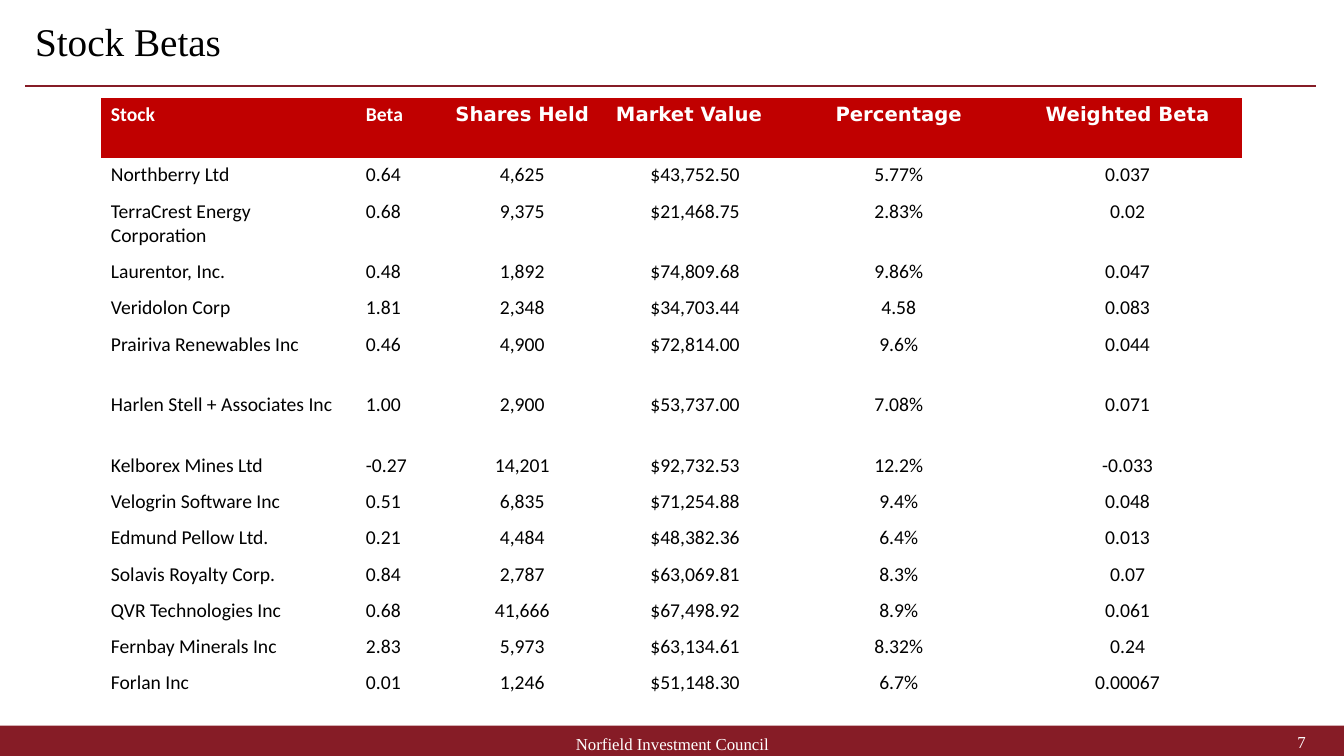
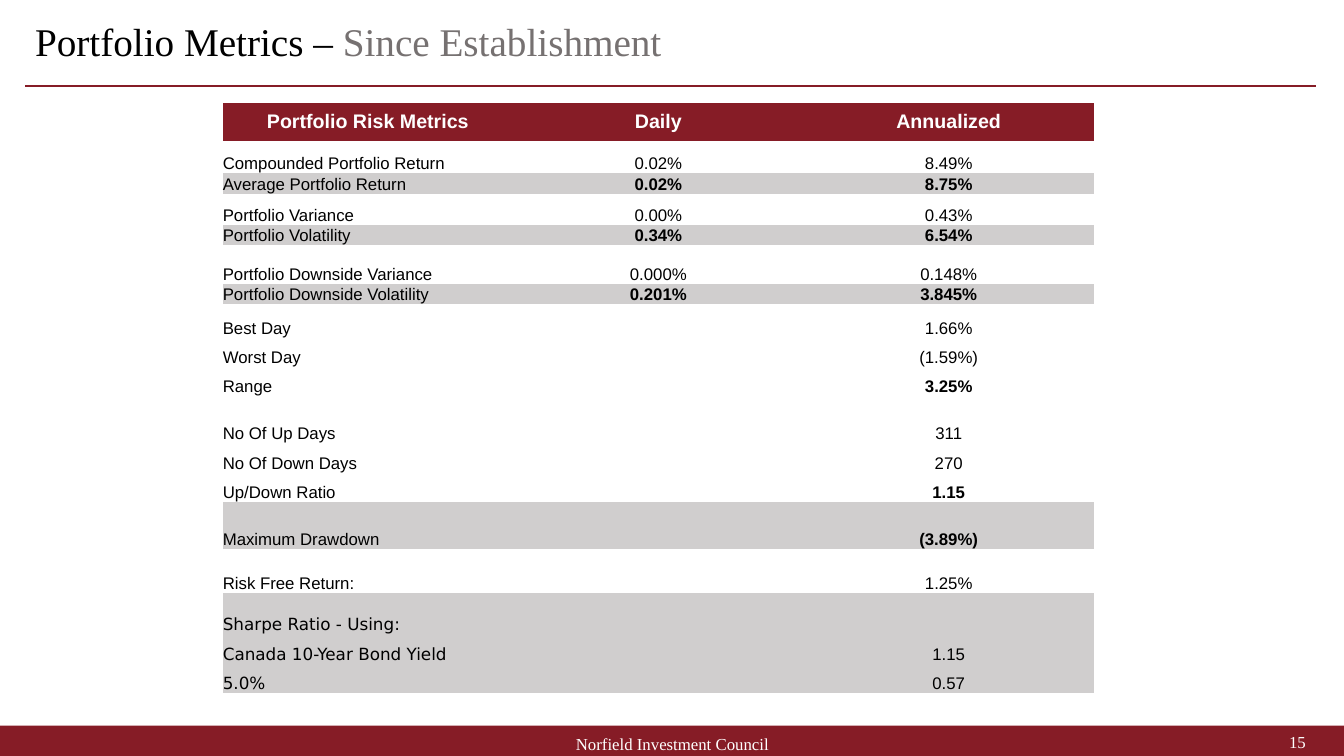
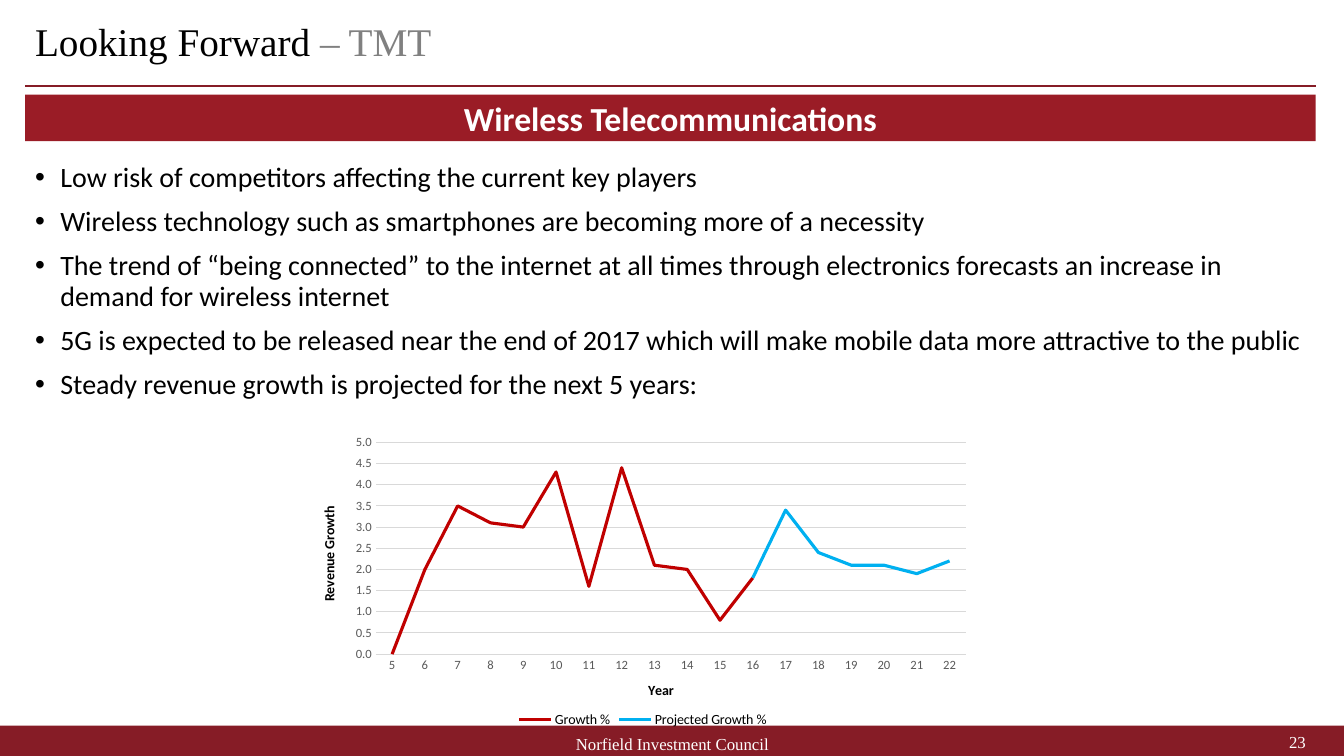
from dataclasses import dataclass

from lxml import etree
from pptx import Presentation
from pptx.chart.data import CategoryChartData
from pptx.dml.color import RGBColor
from pptx.enum.chart import XL_CHART_TYPE, XL_LEGEND_POSITION, XL_TICK_MARK
from pptx.enum.shapes import MSO_CONNECTOR, MSO_SHAPE
from pptx.enum.text import MSO_ANCHOR, PP_ALIGN
from pptx.oxml.ns import qn
from pptx.util import Emu, Pt

LEFT, CENTER, RIGHT = PP_ALIGN.LEFT, PP_ALIGN.CENTER, PP_ALIGN.RIGHT
TOP, MIDDLE, BOTTOM = MSO_ANCHOR.TOP, MSO_ANCHOR.MIDDLE, MSO_ANCHOR.BOTTOM
RECTANGLE, STRAIGHT = MSO_SHAPE.RECTANGLE, MSO_CONNECTOR.STRAIGHT
NO_TICK = XL_TICK_MARK.NONE

# Shared style: 100 px to the inch
EMU_PER_PX = 9144
SLIDE_WIDTH, SLIDE_HEIGHT = 1333, 750
MARGIN, CONTENT_WIDTH = 25, 1280
BLACK, WHITE, MAROON = "000000", "FFFFFF", "861C26"
BANNER_RED, BRIGHT_RED, BLUE = "9A1C26", "C00000", "00B0F0"
SHADE, GRID, AXIS_TEXT = "D0CECE", "D9D9D9", "595959"
SERIF, SANS, BODY, WIDE = "Times New Roman", "Arial", "Calibri", "DejaVu Sans"
FOOTER = "Norfield Investment Council"
PLAIN_TABLE_STYLE = "{2D5ABB26-0587-4C30-8999-92F81FD0307C}"


@dataclass
class Holding:
    stock: str
    beta: str
    shares: str
    value: str
    percentage: str
    weighted_beta: str
    height: int = 36


@dataclass
class Metric:
    label: str
    daily: str
    annualized: str
    height: int
    shaded: bool = False
    bold: bool = False
    label_font: str = SANS


@dataclass
class GrowthSeries:
    name: str
    values: list
    color: str


HOLDINGS = [
    Holding("Northberry Ltd", "0.64", "4,625", "$43,752.50", "5.77%", "0.037"),
    Holding("TerraCrest Energy Corporation", "0.68", "9,375", "$21,468.75", "2.83%", "0.02", 60),
    Holding("Laurentor, Inc.", "0.48", "1,892", "$74,809.68", "9.86%", "0.047"),
    Holding("Veridolon Corp", "1.81", "2,348", "$34,703.44", "4.58", "0.083"),
    Holding("Prairiva Renewables Inc", "0.46", "4,900", "$72,814.00", "9.6%", "0.044", 60),
    Holding("Harlen Stell + Associates Inc", "1.00", "2,900", "$53,737.00", "7.08%", "0.071", 60),
    Holding("Kelborex Mines Ltd", "-0.27", "14,201", "$92,732.53", "12.2%", "-0.033"),
    Holding("Velogrin Software Inc", "0.51", "6,835", "$71,254.88", "9.4%", "0.048"),
    Holding("Edmund Pellow Ltd.", "0.21", "4,484", "$48,382.36", "6.4%", "0.013"),
    Holding("Solavis Royalty Corp.", "0.84", "2,787", "$63,069.81", "8.3%", "0.07"),
    Holding("QVR Technologies Inc", "0.68", "41,666", "$67,498.92", "8.9%", "0.061"),
    Holding("Fernbay Minerals Inc", "2.83", "5,973", "$63,134.61", "8.32%", "0.24"),
    Holding("Forlan Inc", "0.01", "1,246", "$51,148.30", "6.7%", "0.00067"),
]

METRICS = [
    Metric("Compounded Portfolio Return", "0.02%", "8.49%", 32),
    Metric("Average Portfolio Return", "0.02%", "8.75%", 19, shaded=True, bold=True),
    Metric("Portfolio Variance", "0.00%", "0.43%", 31),
    Metric("Portfolio Volatility", "0.34%", "6.54%", 19, shaded=True, bold=True),
    Metric("Portfolio Downside Variance", "0.000%", "0.148%", 39),
    Metric("Portfolio Downside Volatility", "0.201%", "3.845%", 19, shaded=True, bold=True),
    Metric("Best Day", "", "1.66%", 33),
    Metric("Worst Day", "", "(1.59%)", 29),
    Metric("Range", "", "3.25%", 29, bold=True),
    Metric("No Of Up Days", "", "311", 47),
    Metric("No Of Down Days", "", "270", 29),
    Metric("Up/Down Ratio", "", "1.15", 29, bold=True),
    Metric("Maximum Drawdown", "", "(3.89%)", 47, shaded=True, bold=True),
    Metric("Risk Free Return:", "", "1.25%", 43),
    Metric("Sharpe Ratio - Using:", "", "", 42, shaded=True, label_font=WIDE),
    Metric("Canada 10-Year Bond Yield", "", "1.15", 29, shaded=True, label_font=WIDE),
    Metric("5.0%", "", "0.57", 29, shaded=True, label_font=WIDE),
]

BULLETS = [
    "Low risk of competitors affecting the current key players",
    "Wireless technology such as smartphones are becoming more of a necessity",
    "The trend of “being connected” to the internet at all times through electronics "
    "forecasts an increase in demand for wireless internet",
    "5G is expected to be released near the end of 2017 which will make mobile data "
    "more attractive to the public",
    "Steady revenue growth is projected for the next 5 years:",
]

GROWTH = [0, 2, 3.5, 3.1, 3, 4.3, 1.6, 4.4, 2.1, 2, 0.8, 1.8]
PROJECTED = [1.8, 3.4, 2.4, 2.1, 2.1, 1.9, 2.2]
SERIES = [
    GrowthSeries("Growth %", GROWTH + [None] * 6, BRIGHT_RED),
    GrowthSeries("Projected Growth %", [None] * 11 + PROJECTED, BLUE),
]


def px(length: int) -> Emu:
    return Emu(length * EMU_PER_PX)


def box(left: int, top: int, width: int, height: int) -> tuple:
    return px(left), px(top), px(width), px(height)


def rgb(color: str) -> RGBColor:
    return RGBColor.from_string(color)


def style_font(font, name: str, size: float, color: str, bold: bool = False) -> None:
    font.name, font.size, font.bold = name, Pt(size), bold
    font.color.rgb = rgb(color)


def add_text(paragraph, text: str, *, font: str = BODY, size: float = 14,
             color: str = BLACK, bold: bool = False, align=LEFT,
             line_spacing: float | None = None, space_before: float | None = None) -> None:
    """Append one formatted run; an empty text only sets the line's size."""
    paragraph.alignment = align
    if line_spacing is not None:
        paragraph.line_spacing = line_spacing
    if space_before is not None:
        paragraph.space_before = Pt(space_before)
    if text:
        run = paragraph.add_run()
        run.text = text
        style_font(run.font, font, size, color, bold)
    else:
        etree.SubElement(paragraph._p, qn("a:endParaRPr"), sz=str(int(size * 100)))


def add_text_box(slide, left: int, top: int, width: int, height: int, anchor=MIDDLE):
    text_frame = slide.shapes.add_textbox(*box(left, top, width, height)).text_frame
    text_frame.word_wrap = True
    text_frame.vertical_anchor = anchor
    return text_frame


def add_band(slide, left: int, top: int, width: int, height: int, color: str):
    band = slide.shapes.add_shape(RECTANGLE, *box(left, top, width, height))
    band.shadow.inherit = False
    band.fill.solid()
    band.fill.fore_color.rgb = rgb(color)
    band.line.fill.background()
    return band


def add_base_slide(presentation, number: int, title: str, subtitle: str = "",
                   subtitle_color: str = BLACK):
    """Blank slide with the title, rule, footer band and page number."""
    slide = presentation.slides.add_slide(presentation.slide_layouts[6])
    add_band(slide, 0, 720, SLIDE_WIDTH, SLIDE_HEIGHT - 720, MAROON)
    rule = slide.shapes.add_connector(
        STRAIGHT, px(MARGIN), px(85), px(MARGIN + CONTENT_WIDTH), px(85))
    rule.line.color.rgb = rgb(MAROON)
    rule.line.width = Pt(1.5)
    etree.SubElement(rule._element.spPr, qn("a:effectLst"))

    heading = add_text_box(slide, MARGIN, 19, CONTENT_WIDTH, 48).paragraphs[0]
    add_text(heading, title, font=SERIF, size=28, line_spacing=0.9)
    if subtitle:
        add_text(heading, subtitle, font=SERIF, size=28, color=subtitle_color)

    footer = add_text_box(slide, 442, 728, 450, 20).paragraphs[0]
    add_text(footer, FOOTER, font=SERIF, size=12, color=WHITE, align=CENTER)
    page = add_text_box(slide, 1005, 726, 300, 20).paragraphs[0]
    add_text(page, str(number), font=SERIF, size=12, color=WHITE, align=RIGHT)
    return slide


def add_plain_table(slide, left: int, top: int, widths: list[int], heights: list[int]):
    frame = slide.shapes.add_table(
        len(heights), len(widths), *box(left, top, sum(widths), sum(heights)))
    table = frame.table
    table.first_row = table.horz_banding = False
    table._tbl.tblPr.find(qn("a:tableStyleId")).text = PLAIN_TABLE_STYLE
    for column, width in zip(table.columns, widths):
        column.width = px(width)
    for row, height in zip(table.rows, heights):
        row.height = px(height)
    return table


def fill_cell(cell, text: str, fill: str | None = None, anchor=TOP,
              inset: int | None = None, **text_format) -> None:
    if fill:
        cell.fill.solid()
        cell.fill.fore_color.rgb = rgb(fill)
    else:
        cell.fill.background()
    cell.vertical_anchor = anchor
    if inset is not None:
        cell.margin_left = cell.margin_right = px(inset)
        cell.margin_top = cell.margin_bottom = px(inset)
    add_text(cell.text_frame.paragraphs[0], text, **text_format)


def build_stock_betas(presentation) -> None:
    slide = add_base_slide(presentation, 7, "Stock Betas")
    table = add_plain_table(slide, 100, 97, [253, 82, 166, 177, 227, 227],
                            [60] + [holding.height for holding in HOLDINGS])
    headers = ["Stock", "Beta", "Shares Held", "Market Value", "Percentage", "Weighted Beta"]
    for column, header in enumerate(headers):
        fill_cell(table.cell(0, column), header, BRIGHT_RED, color=WHITE, bold=True,
                  font=BODY if column < 2 else WIDE,
                  align=LEFT if column in (0, 1, 3) else CENTER)
    for row, holding in enumerate(HOLDINGS, 1):
        values = [holding.stock, holding.beta, holding.shares, holding.value,
                  holding.percentage, holding.weighted_beta]
        for column, value in enumerate(values):
            fill_cell(table.cell(row, column), value, align=LEFT if column < 2 else CENTER)


def build_portfolio_metrics(presentation) -> None:
    slide = add_base_slide(presentation, 15, "Portfolio Metrics – ",
                           "Since Establishment", "767171")
    table = add_plain_table(slide, 221, 102, [288] * 3,
                            [38] + [metric.height for metric in METRICS])
    for column, header in enumerate(["Portfolio Risk Metrics", "Daily", "Annualized"]):
        fill_cell(table.cell(0, column), header, MAROON, MIDDLE, 0,
                  font=SANS, color=WHITE, bold=True, align=CENTER)
    for row, metric in enumerate(METRICS, 1):
        fill = SHADE if metric.shaded else None
        fill_cell(table.cell(row, 0), metric.label, fill, BOTTOM, 0,
                  font=metric.label_font, size=12)
        for column, value in enumerate([metric.daily, metric.annualized], 1):
            fill_cell(table.cell(row, column), value, fill, BOTTOM, 0,
                      font=SANS, size=12, bold=metric.bold, align=CENTER)


def add_bullet(paragraph) -> None:
    properties = paragraph._p.get_or_add_pPr()
    properties.set("marL", str(px(25)))
    properties.set("indent", str(-px(25)))
    etree.SubElement(properties, qn("a:buFont"), typeface=SANS)
    etree.SubElement(properties, qn("a:buChar"), char="•")


def set_plot_area(chart, x: float, y: float, width: float, height: float) -> None:
    """Fix the inner plot area as fractions of the chart."""
    plot_area = chart._chartSpace.chart.plotArea
    for old_layout in plot_area.findall(qn("c:layout")):
        plot_area.remove(old_layout)
    layout = etree.Element(qn("c:layout"))
    manual = etree.SubElement(layout, qn("c:manualLayout"))
    settings = {"layoutTarget": "inner", "xMode": "edge", "yMode": "edge",
                "x": x, "y": y, "w": width, "h": height}
    for name, value in settings.items():
        etree.SubElement(manual, qn(f"c:{name}"), val=str(value))
    plot_area.insert(0, layout)


def style_axis(axis, title: str) -> None:
    axis.major_tick_mark = axis.minor_tick_mark = NO_TICK
    style_font(axis.tick_labels.font, BODY, 9, AXIS_TEXT)
    add_text(axis.axis_title.text_frame.paragraphs[0], title, size=10, bold=True, align=CENTER)


def add_growth_chart(slide) -> None:
    data = CategoryChartData()
    data.categories = [str(year) for year in range(5, 23)]
    for series in SERIES:
        data.add_series(series.name, series.values)
    chart = slide.shapes.add_chart(XL_CHART_TYPE.LINE, *box(289, 430, 697, 296), data).chart
    style_font(chart.font, BODY, 10, BLACK)
    chart.has_title = False
    chart.has_legend = True
    chart.legend.position = XL_LEGEND_POSITION.BOTTOM
    chart.legend.include_in_layout = False
    style_font(chart.legend.font, BODY, 10, BLACK)
    set_plot_area(chart, 0.12, 0.03, 0.84, 0.71)

    years, growth = chart.category_axis, chart.value_axis
    style_axis(years, "Year")
    years.format.line.color.rgb = rgb(GRID)
    years.format.line.width = Pt(0.75)
    style_axis(growth, "Revenue Growth")
    growth.minimum_scale, growth.maximum_scale, growth.major_unit = 0, 5, 0.5
    growth.tick_labels.number_format = "#,##0.0"
    growth.tick_labels.number_format_is_linked = False
    growth.format.line.fill.background()
    growth.major_gridlines.format.line.color.rgb = rgb(GRID)
    growth.major_gridlines.format.line.width = Pt(0.75)

    plot = chart.plots[0]
    plot.vary_by_categories = False
    for line, series in zip(plot.series, SERIES):
        line.smooth = False
        line.format.line.color.rgb = rgb(series.color)
        line.format.line.width = Pt(2.25)


def build_looking_forward(presentation) -> None:
    slide = add_base_slide(presentation, 23, "Looking Forward ", "– TMT", "808080")
    banner = add_band(slide, MARGIN, 94, CONTENT_WIDTH, 46, BANNER_RED)
    banner.text_frame.vertical_anchor = MIDDLE
    add_text(banner.text_frame.paragraphs[0], "Wireless Telecommunications",
             size=24, color=WHITE, bold=True, align=CENTER)

    text_frame = add_text_box(slide, MARGIN, 157, CONTENT_WIDTH, 251, TOP)
    for index, bullet in enumerate(BULLETS):
        paragraph = text_frame.add_paragraph() if index else text_frame.paragraphs[0]
        add_text(paragraph, bullet, size=20, line_spacing=0.9, space_before=10)
        add_bullet(paragraph)
    add_growth_chart(slide)


def main() -> None:
    presentation = Presentation()
    presentation.slide_width, presentation.slide_height = px(SLIDE_WIDTH), px(SLIDE_HEIGHT)
    build_stock_betas(presentation)
    build_portfolio_metrics(presentation)
    build_looking_forward(presentation)
    presentation.save("out.pptx")


if __name__ == "__main__":
    main()
